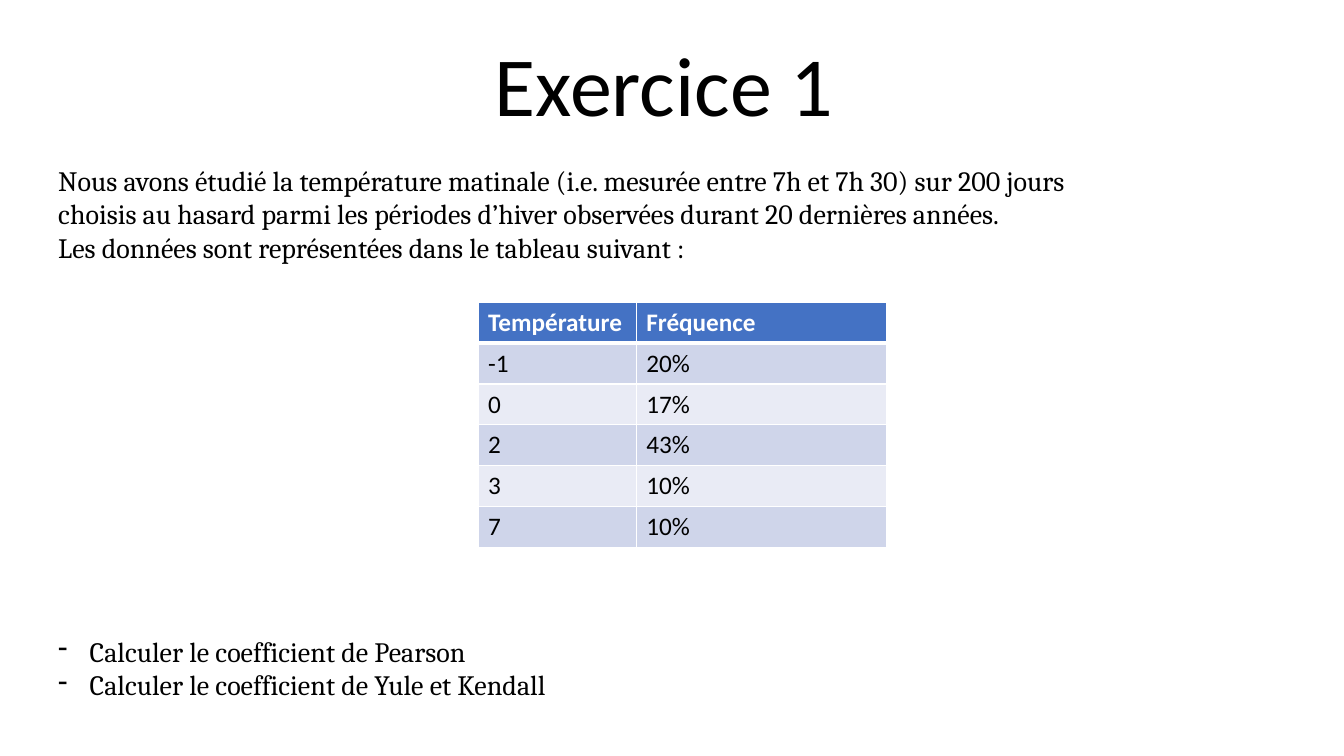
from lxml import etree
from pptx import Presentation
from pptx.dml.color import RGBColor
from pptx.enum.text import MSO_ANCHOR, PP_ALIGN
from pptx.oxml.ns import qn
from pptx.util import Pt

BOTTOM = MSO_ANCHOR.BOTTOM
TOP = MSO_ANCHOR.TOP
CENTER = PP_ALIGN.CENTER

BLACK = RGBColor(0x00, 0x00, 0x00)
WHITE = RGBColor(0xFF, 0xFF, 0xFF)
HEADER_BLUE = RGBColor(0x44, 0x72, 0xC4)
BAND_DARK = RGBColor(0xCF, 0xD5, 0xEA)
BAND_LIGHT = RGBColor(0xE9, 0xEB, 0xF5)

HEADING_FONT = "Calibri"
BODY_FONT = "Cambria"
DASH_INDENT = Pt(22.5)

STATEMENT = [
    "Nous avons étudié la température matinale (i.e. mesurée entre 7h et 7h 30) "
    "sur 200 jours choisis au hasard parmi les périodes d’hiver observées durant "
    "20 dernières années.",
    "Les données sont représentées dans le tableau suivant :",
]
FREQUENCIES = [
    ("Température", "Fréquence"),
    ("-1", "20%"),
    ("0", "17%"),
    ("2", "43%"),
    ("3", "10%"),
    ("7", "10%"),
]
QUESTIONS = [
    "Calculer le coefficient de Pearson",
    "Calculer le coefficient de Yule et Kendall",
]


def style_runs(paragraph, font_name, size, color, bold=False):
    for run in paragraph.runs:
        run.font.name = font_name
        run.font.size = Pt(size)
        run.font.color.rgb = color
        run.font.bold = bold


def add_text(slide, box, lines, font_name, size, anchor=TOP):
    frame = slide.shapes.add_textbox(*box).text_frame
    frame.word_wrap = True
    frame.vertical_anchor = anchor
    frame.text = "\n".join(lines)
    for paragraph in frame.paragraphs:
        style_runs(paragraph, font_name, size, BLACK)
    return frame.paragraphs


def add_title(slide, box):
    heading = add_text(slide, box, ["Exercice 1"], HEADING_FONT, 60, BOTTOM)[0]
    heading.alignment = CENTER
    heading.line_spacing = 0.9


def add_questions(slide, box):
    for question in add_text(slide, box, QUESTIONS, BODY_FONT, 20):
        properties = question._p.get_or_add_pPr()
        properties.set("marL", str(DASH_INDENT))
        properties.set("indent", str(-DASH_INDENT))
        etree.SubElement(properties, qn("a:buChar"), char="-")


def set_borders(cell, bottom_width):
    widths = {"a:lnL": 1, "a:lnR": 1, "a:lnT": 1, "a:lnB": bottom_width}
    # Border lines come before the fill in the cell properties
    for position, (side, width) in enumerate(widths.items()):
        line = etree.Element(qn(side), w=str(Pt(width)))
        fill = etree.SubElement(line, qn("a:solidFill"))
        etree.SubElement(fill, qn("a:srgbClr"), val=str(WHITE))
        cell._tc.get_or_add_tcPr().insert(position, line)


def add_frequency_table(slide, box):
    left, top, width, height = box
    table = slide.shapes.add_table(
        len(FREQUENCIES), len(FREQUENCIES[0]), left, top, width, height).table
    table.columns[0].width = Pt(113)
    table.columns[1].width = width - Pt(113)
    for row, values in enumerate(FREQUENCIES):
        is_header = row == 0
        band = BAND_DARK if row % 2 else BAND_LIGHT
        for column, value in enumerate(values):
            cell = table.cell(row, column)
            cell.text = value
            cell.fill.solid()
            cell.fill.fore_color.rgb = HEADER_BLUE if is_header else band
            style_runs(cell.text_frame.paragraphs[0], HEADING_FONT, 18,
                       WHITE if is_header else BLACK, is_header)
            set_borders(cell, 3 if is_header else 1)


def build_exercise(slide):
    # Title
    add_title(slide, (Pt(114.5), Pt(2), Pt(720), Pt(97.5)))
    # Statement of the exercise
    add_text(slide, (Pt(34.5), Pt(113), Pt(790.5), Pt(80)),
             STATEMENT, BODY_FONT, 20)
    # Table of temperatures
    add_frequency_table(slide, (Pt(341.5), Pt(216), Pt(292), Pt(175)))
    # Questions
    add_questions(slide, (Pt(34.5), Pt(449.5), Pt(790.5), Pt(56)))


def main():
    deck = Presentation()
    deck.slide_width = Pt(960)
    deck.slide_height = Pt(540)
    build_exercise(deck.slides.add_slide(deck.slide_layouts[6]))
    deck.save("out.pptx")


if __name__ == "__main__":
    main()
